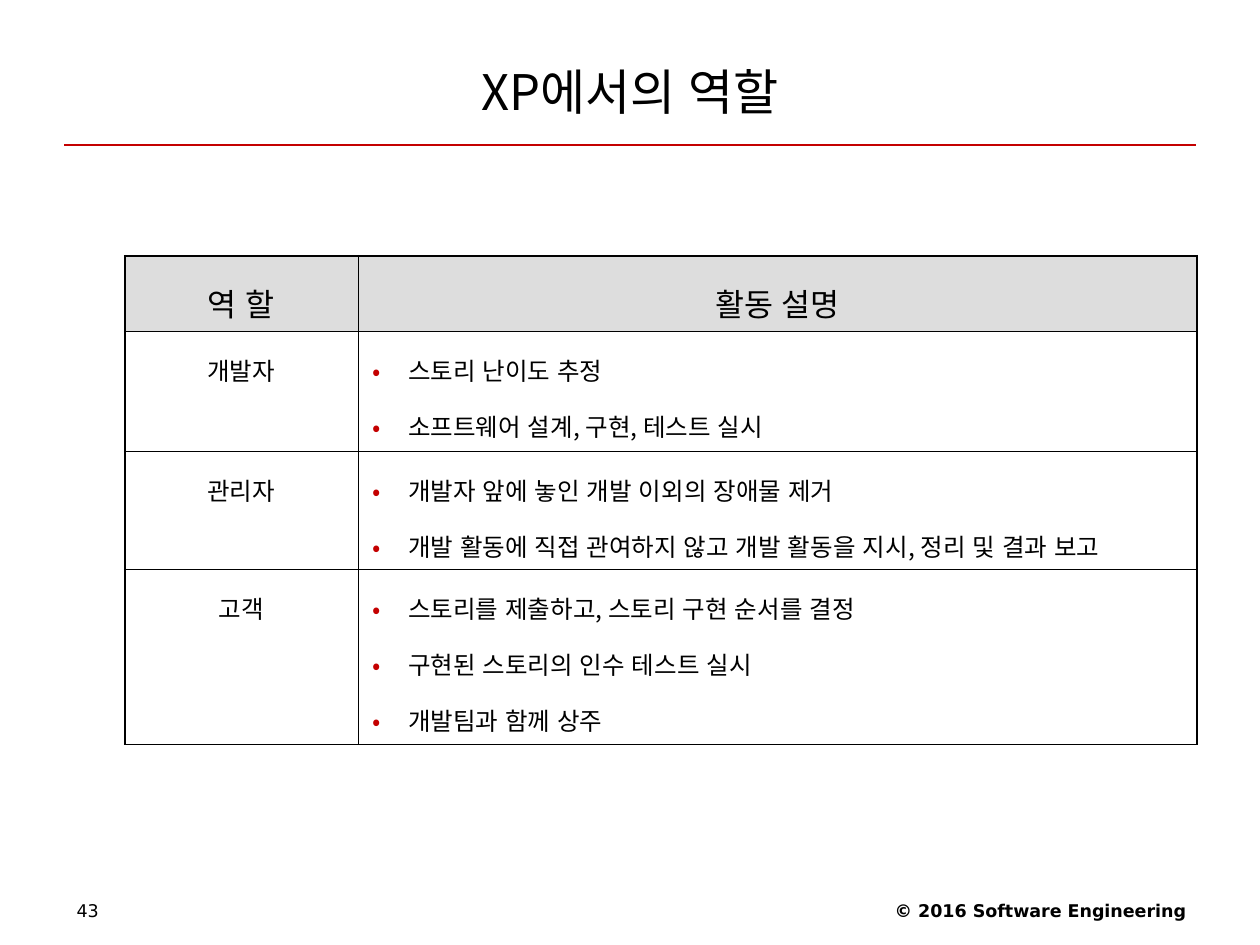
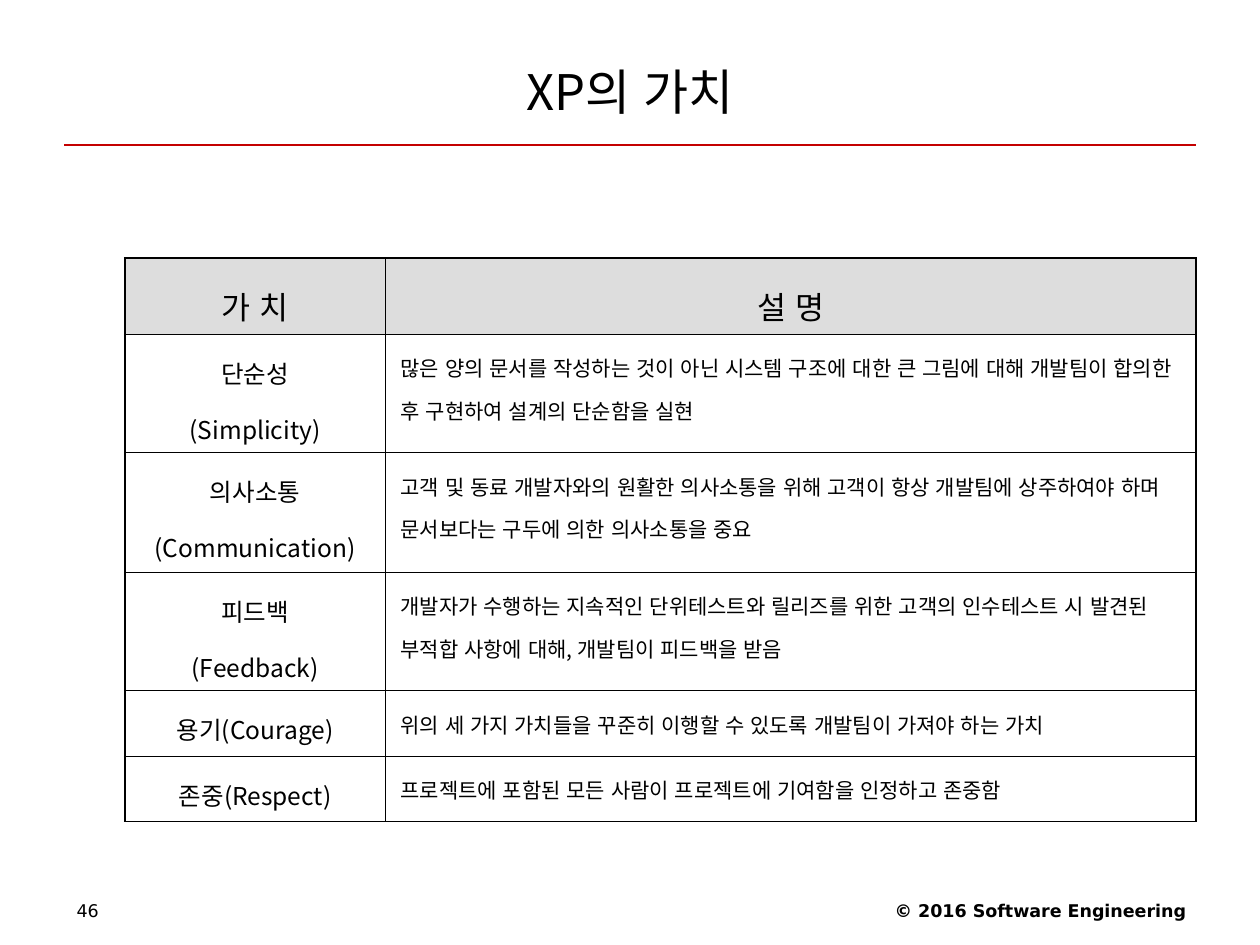
"""Build two slides on the roles and values of XP."""
from lxml import etree
from pptx import Presentation
from pptx.dml.color import RGBColor
from pptx.enum.lang import MSO_LANGUAGE_ID
from pptx.enum.shapes import MSO_CONNECTOR
from pptx.enum.text import MSO_ANCHOR, PP_ALIGN
from pptx.oxml.ns import qn
from pptx.util import Inches, Pt

LEFT, CENTER, RIGHT = PP_ALIGN.LEFT, PP_ALIGN.CENTER, PP_ALIGN.RIGHT
TOP, MIDDLE = MSO_ANCHOR.TOP, MSO_ANCHOR.MIDDLE
STRAIGHT = MSO_CONNECTOR.STRAIGHT
KOREAN = MSO_LANGUAGE_ID.KOREAN

BLACK = RGBColor(0x00, 0x00, 0x00)
RED = RGBColor(0xC4, 0x00, 0x00)
HEADER_GRAY = RGBColor(0xDD, 0xDD, 0xDD)

BODY_FONT = "Noto Sans CJK KR"
FOOTER_FONT = "DejaVu Sans"
COPYRIGHT = "© 2016 Software Engineering"
HEADER_SIZE, LABEL_SIZE = 18, 14
OUTER_BORDER, INNER_BORDER = 1.08, 0.45
TABLE_LEFT = 0.99
BULLET_INDENT = 0.28

ROLES = [
    (["역 할"], ["활동 설명"]),
    (["개발자"], ["스토리 난이도 추정", "소프트웨어 설계, 구현, 테스트 실시"]),
    (["관리자"], ["개발자 앞에 놓인 개발 이외의 장애물 제거",
               "개발 활동에 직접 관여하지 않고 개발 활동을 지시, 정리 및 결과 보고"]),
    (["고객"], ["스토리를 제출하고, 스토리 구현 순서를 결정",
              "구현된 스토리의 인수 테스트 실시", "개발팀과 함께 상주"]),
]
VALUES = [
    (["가 치"], ["설 명"]),
    (["단순성", "(Simplicity)"],
     ["많은 양의 문서를 작성하는 것이 아닌 시스템 구조에 대한 큰 그림에 대해 "
      "개발팀이 합의한 후 구현하여 설계의 단순함을 실현"]),
    (["의사소통", "(Communication)"],
     ["고객 및 동료 개발자와의 원활한 의사소통을 위해 고객이 항상 개발팀에 "
      "상주하여야 하며 문서보다는 구두에 의한 의사소통을 중요"]),
    (["피드백", "(Feedback)"],
     ["개발자가 수행하는 지속적인 단위테스트와 릴리즈를 위한 고객의 인수테스트 시 "
      "발견된 부적합 사항에 대해, 개발팀이 피드백을 받음"]),
    (["용기(Courage)"],
     ["위의 세 가지 가치들을 꾸준히 이행할 수 있도록 개발팀이 가져야 하는 가치"]),
    (["존중(Respect)"],
     ["프로젝트에 포함된 모든 사람이 프로젝트에 기여함을 인정하고 존중함"]),
]


def add_run(paragraph, text, size, font=BODY_FONT, bold=False):
    """Add one black run, with the font set for Latin and Korean letters."""
    run = paragraph.add_run()
    run.text = text
    run.font.size = Pt(size)
    run.font.name = font
    run.font.bold = bold
    run.font.color.rgb = BLACK
    run.font.language_id = KOREAN
    latin = run.font._element.find(qn("a:latin"))
    east_asian = etree.Element(qn("a:ea"), typeface=font)
    latin.addnext(east_asian)


def add_label(slide, box, text, size, align, anchor=TOP, **style):
    """Add a one-line text box at (left, top, width, height) in inches."""
    frame = slide.shapes.add_textbox(*map(Inches, box)).text_frame
    frame.word_wrap = True
    frame.vertical_anchor = anchor
    frame.paragraphs[0].alignment = align
    add_run(frame.paragraphs[0], text, size, **style)


def add_rule(slide):
    """Draw the red rule under the title."""
    rule = slide.shapes.add_connector(
        STRAIGHT, Inches(0.51), Inches(1.15), Inches(9.49), Inches(1.15))
    rule.line.color.rgb = RED
    rule.line.width = Pt(0.75)
    etree.SubElement(rule._element.spPr, qn("a:effectLst"))


def add_page(prs, title, number):
    """Add a slide with its title, rule and footers."""
    slide = prs.slides.add_slide(prs.slide_layouts[6])
    add_rule(slide)
    add_label(slide, (6.34, 7.09, 3.17, 0.28), COPYRIGHT, 10, RIGHT,
              font=FOOTER_FONT, bold=True)
    add_label(slide, (0.51, 7.09, 2.33, 0.28), str(number), 10, LEFT,
              font=FOOTER_FONT)
    add_label(slide, (0.5, 0.3, 9, 0.85), title, 28, CENTER, MIDDLE)
    return slide


def add_bullet(paragraph):
    """Give a paragraph a red bullet and a hanging indent."""
    properties = paragraph._p.get_or_add_pPr()
    properties.set("marL", str(Inches(BULLET_INDENT)))
    properties.set("indent", str(-Inches(BULLET_INDENT)))
    color = etree.SubElement(properties, qn("a:buClr"))
    etree.SubElement(color, qn("a:srgbClr"), val=str(RED))
    etree.SubElement(properties, qn("a:buFont"), typeface=BODY_FONT)
    etree.SubElement(properties, qn("a:buChar"), char="•")


def set_borders(cell, outer_sides):
    """Draw the four borders of a cell, thicker on the outer sides."""
    properties = cell._tc.get_or_add_tcPr()
    for index, side in enumerate("LRTB"):
        width = OUTER_BORDER if side in outer_sides else INNER_BORDER
        border = etree.Element(qn(f"a:ln{side}"), w=str(Pt(width)))
        fill = etree.SubElement(border, qn("a:solidFill"))
        etree.SubElement(fill, qn("a:srgbClr"), val=str(BLACK))
        properties.insert(index, border)


def fill_cell(cell, lines, size, align, bulleted):
    """Write the lines into a cell, one paragraph each."""
    cell.margin_left = cell.margin_right = Inches(0.12)
    cell.margin_top = cell.margin_bottom = Inches(0.05)
    frame = cell.text_frame
    for index, line in enumerate(lines):
        paragraph = frame.add_paragraph() if index else frame.paragraphs[0]
        if bulleted:
            add_bullet(paragraph)
        paragraph.alignment = align
        paragraph.line_spacing = 1.4
        if index:
            paragraph.space_before = Pt(size / 4)
        add_run(paragraph, line, size)


def add_description_table(slide, top, widths, heights, rows, text_size, bulleted):
    """Add a table of centred labels and their descriptions."""
    table = slide.shapes.add_table(
        len(rows), len(widths), Inches(TABLE_LEFT), Inches(top),
        Inches(sum(widths)), Inches(sum(heights))).table
    table.first_row = table.horz_banding = False
    for column, width in zip(table.columns, widths):
        column.width = Inches(width)
    for row, height in zip(table.rows, heights):
        row.height = Inches(height)
    for r, row in enumerate(rows):
        is_header = r == 0
        for c, lines in enumerate(row):
            cell = table.cell(r, c)
            is_label = c == 0
            if is_header:
                cell.fill.solid()
                cell.fill.fore_color.rgb = HEADER_GRAY
                size = HEADER_SIZE
            else:
                cell.fill.background()
                size = LABEL_SIZE if is_label else text_size
            fill_cell(cell, lines, size,
                      CENTER if is_header or is_label else LEFT,
                      bulleted and not is_header and not is_label)
            outer_sides = "L" if is_label else "R"
            if is_header:
                outer_sides += "T"
            if r == len(rows) - 1:
                outer_sides += "B"
            set_borders(cell, outer_sides)


def main():
    """Build and save the presentation."""
    prs = Presentation()
    prs.slide_width, prs.slide_height = Inches(10), Inches(7.5)

    roles = add_page(prs, "XP에서의 역할", 43)
    add_description_table(roles, 2.03, (1.85, 6.66), (0.6, 0.95, 0.94, 1.39),
                          ROLES, 14, bulleted=True)

    values = add_page(prs, "XP의 가치", 46)
    add_description_table(values, 2.05, (2.07, 6.43),
                          (0.6, 0.94, 0.95, 0.94, 0.52, 0.52),
                          VALUES, 12, bulleted=False)

    prs.save("out.pptx")


if __name__ == "__main__":
    main()
